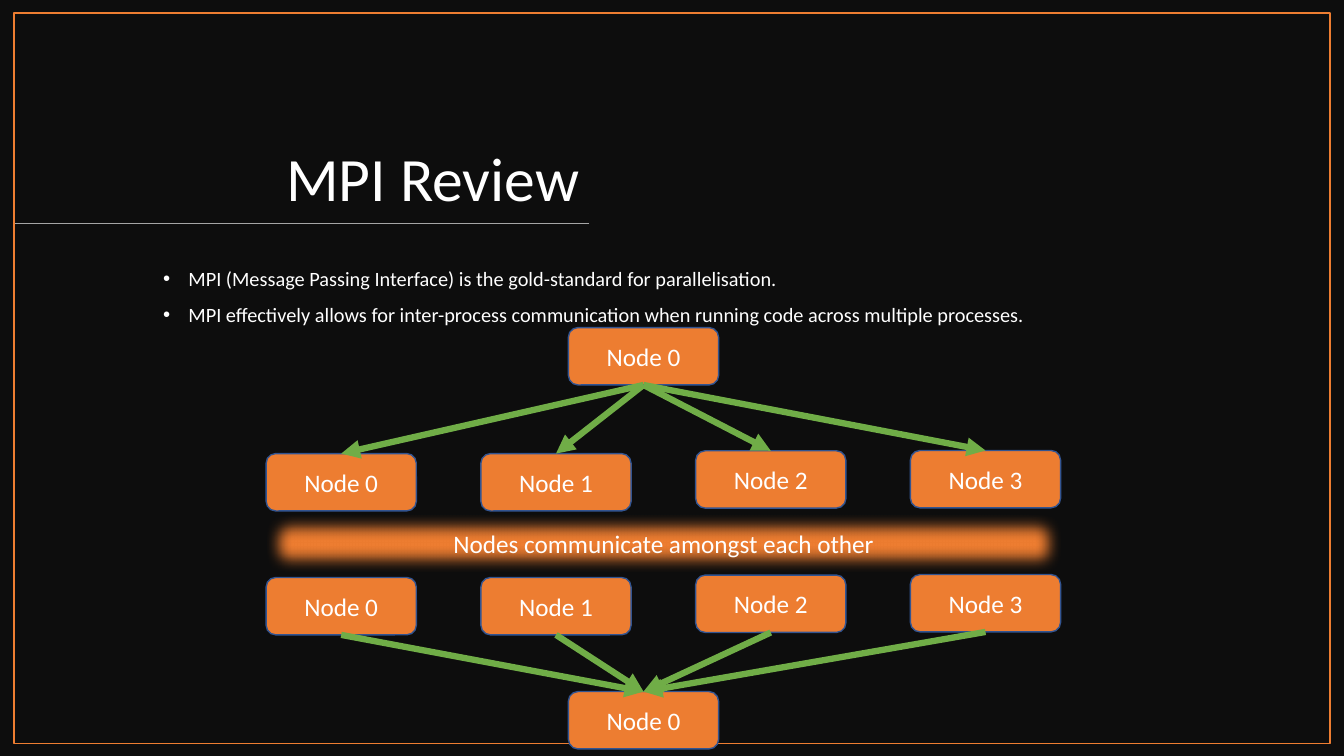
from lxml import etree
from pptx import Presentation
from pptx.dml.color import RGBColor
from pptx.enum.shapes import MSO_CONNECTOR, MSO_SHAPE
from pptx.enum.text import MSO_ANCHOR, PP_ALIGN
from pptx.oxml.ns import qn
from pptx.util import Pt

RECT, ROUND = MSO_SHAPE.RECTANGLE, MSO_SHAPE.ROUNDED_RECTANGLE
LINE = MSO_CONNECTOR.STRAIGHT
LEFT, MID, RIGHT = PP_ALIGN.LEFT, PP_ALIGN.CENTER, PP_ALIGN.RIGHT
TOP, CORE, BASE = MSO_ANCHOR.TOP, MSO_ANCHOR.MIDDLE, MSO_ANCHOR.BOTTOM
HUES = {"back": "0D0D0D", "node": "ED7D31", "edge": "325491",
        "arrow": "70AD47", "rule": "A5A5A5", "text": "FFFFFF"}


class Deck:
    """Draws styled elements on the current slide."""

    def __init__(self, slide, font="Calibri"):
        self.slide, self.font = slide, font

    def hue(self, name):
        return RGBColor.from_string(HUES[name])

    def label(self, frame, lines, size, align, anchor):
        frame.word_wrap = True
        frame.vertical_anchor = anchor
        for i, line in enumerate(lines):
            para = frame.add_paragraph() if i else frame.paragraphs[0]
            para.alignment = align
            run = para.add_run()
            run.text = line
            run.font.size, run.font.name = Pt(size), self.font
            run.font.color.rgb = self.hue("text")

    def shape(self, kind, x, y, w, h, fill=None, edge=None):
        shape = self.slide.shapes.add_shape(kind, Pt(x), Pt(y), Pt(w), Pt(h))
        shape.shadow.inherit = False
        if fill:
            shape.fill.solid()
            shape.fill.fore_color.rgb = self.hue(fill)
        else:
            shape.fill.background()
        if edge:
            shape.line.color.rgb = self.hue(edge)
            shape.line.width = Pt(1)
        else:
            shape.line.fill.background()
        return shape

    def node(self, text, x, y, w=107.3, h=41):
        shape = self.shape(ROUND, x, y, w, h, "node", "edge")
        self.label(shape.text_frame, [text], 18, MID, CORE)
        return shape

    def blur(self, shape, size):
        effect = shape.element.spPr.find(qn("a:effectLst"))
        etree.SubElement(effect, qn("a:softEdge"), rad=str(Pt(size)))

    def text(self, lines, x, y, w, h, size, align=LEFT, anchor=TOP):
        box = self.slide.shapes.add_textbox(Pt(x), Pt(y), Pt(w), Pt(h))
        self.label(box.text_frame, lines, size, align, anchor)
        for para in box.text_frame.paragraphs:
            para.line_spacing = 0.9
        return box

    def bullets(self, lines, x, y, w, h, size):
        box = self.text(lines, x, y, w, h, size)
        for para in box.text_frame.paragraphs:
            para.space_before = Pt(10)
            props = para._p.get_or_add_pPr()
            props.set("marL", str(Pt(18)))
            props.set("indent", str(Pt(-18)))
            etree.SubElement(props, qn("a:buFont"), typeface="Arial")
            etree.SubElement(props, qn("a:buChar"), char="•")

    def line(self, x, y, to_x, to_y, color, width):
        line = self.slide.shapes.add_connector(
            LINE, Pt(x), Pt(y), Pt(to_x), Pt(to_y))
        line.line.color.rgb = self.hue(color)
        line.line.width = Pt(width)
        etree.SubElement(line.element.spPr, qn("a:effectLst"))
        return line

    def arrow(self, start, end):
        line = self.line(0, 0, 0, 0, "arrow", 4.5)
        line.begin_connect(start, 2)
        line.end_connect(end, 0)
        stroke = line.element.spPr.find(qn("a:ln"))
        etree.SubElement(stroke, qn("a:tailEnd"), type="triangle")

    def row(self, tops):
        return [self.node(f"Node {i}", 190.1 + 153.4 * i, y)
                for i, y in enumerate(tops)]


def main():
    show = Presentation()
    show.slide_width, show.slide_height = Pt(960), Pt(540)
    deck = Deck(show.slides.add_slide(show.slide_layouts[6]))

    deck.shape(RECT, 0, 0, 960, 540, "back")
    deck.text(["MPI Review"], 66, 52.5, 355, 104.5, 44, RIGHT, BASE)
    deck.line(421, 159.6, 10, 159.6, "rule", 0.75)
    deck.bullets([
        "MPI (Message Passing Interface) is the gold-standard for "
        "parallelisation.",
        "MPI effectively allows for inter-process communication when "
        "running code across multiple processes.",
    ], 109.5, 188.6, 741, 278, 14.5)
    deck.shape(RECT, 10, 9.2, 940, 522, edge="node")

    root = deck.node("Node 0", 406, 234)
    for node in deck.row([324, 324, 322, 321.8]):
        deck.arrow(root, node)

    sink = deck.node("Node 0", 406, 494)
    bar = deck.node("Nodes communicate amongst each other", 190.1, 367.4, 568)
    deck.blur(bar, 10)
    for node in deck.row([412.5, 412.5, 410.8, 410.4]):
        deck.arrow(node, sink)

    show.save("out.pptx")


if __name__ == "__main__":
    main()
